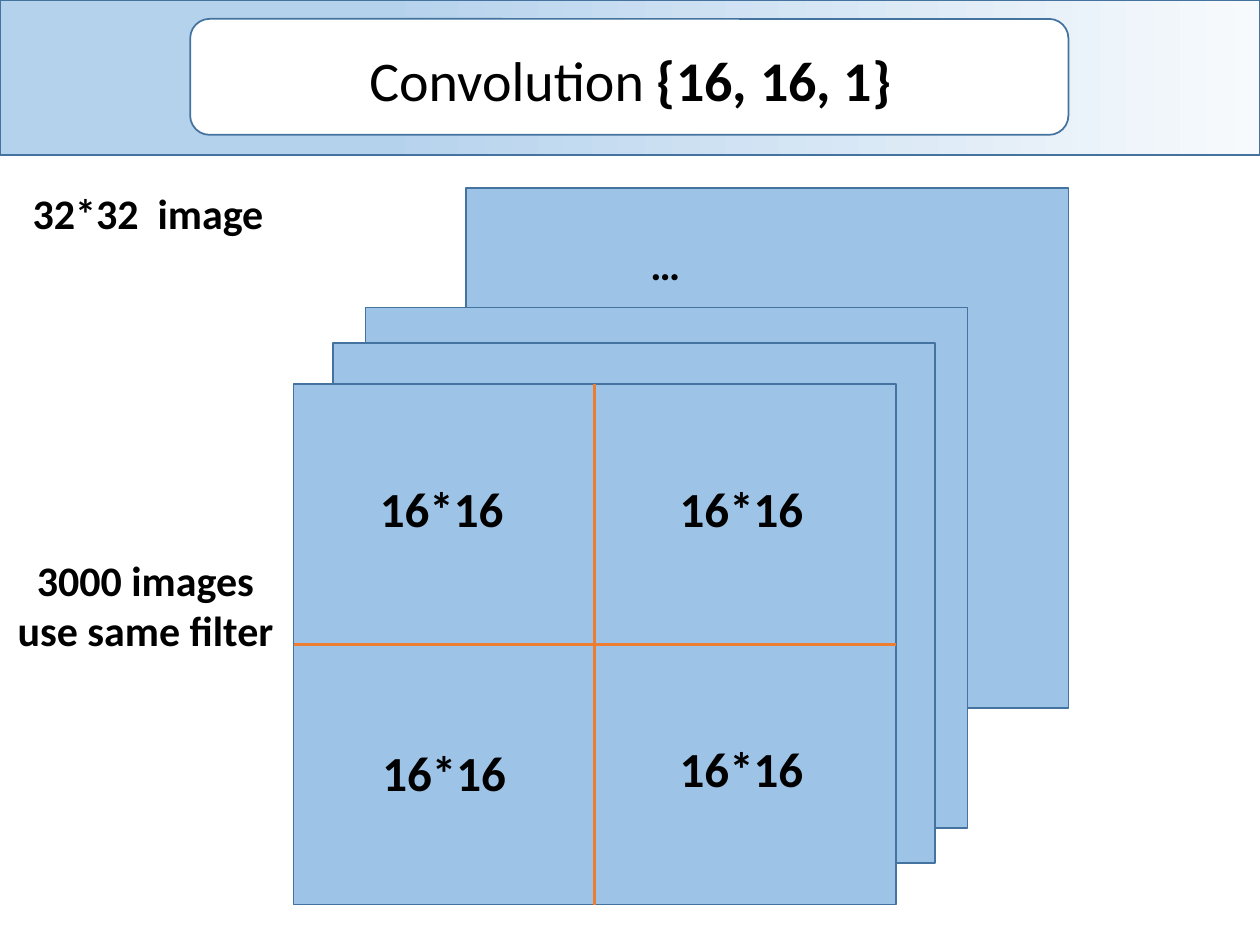
"""Build the slide on a 16 by 16 convolution over a stack of images."""
from copy import deepcopy
from dataclasses import dataclass

from lxml import etree
from pptx import Presentation
from pptx.dml.color import RGBColor
from pptx.enum import shapes, text
from pptx.oxml.ns import qn
from pptx.util import Inches, Pt


@dataclass(frozen=True)
class Theme:
    font: str = "Calibri"
    ink: str = "000000"
    panel: str = "FFFFFF"
    sheet: str = "9DC3E6"
    outline: str = "43739E"
    divider: str = "ED7D31"
    banner: tuple = ((0, "F7FAFD"), (0.7, "B5D2EC"), (1, "B5D2EC"))
    title_size: int = 32
    caption_size: int = 24
    cell_size: int = 28


@dataclass(frozen=True)
class Box:
    left: float
    top: float
    width: float
    height: float

    def inches(self) -> tuple:
        return tuple(Inches(v) for v in (self.left, self.top, self.width, self.height))


@dataclass(frozen=True)
class Label:
    box: Box
    lines: tuple
    size: int


THEME = Theme()
SHEET_W, SHEET_H = 4.78, 4.13
SHEETS = [Box(x, y, SHEET_W, SHEET_H)
          for x, y in ((3.7, 1.49), (2.9, 2.44), (2.64, 2.72), (2.33, 3.05))]
FRONT = SHEETS[-1]
MID_X = FRONT.left + SHEET_W / 2
MID_Y = FRONT.top + SHEET_H / 2
DIVIDERS = ((FRONT.left, MID_Y, FRONT.left + SHEET_W, MID_Y),
            (MID_X, FRONT.top, MID_X, FRONT.top + SHEET_H))
CELLS = ((2.9, 3.75), (5.28, 3.75), (2.92, 5.84), (5.28, 5.81))
LABELS = [
    Label(Box(0, 1.44, 2.35, 0.5), ("32*32  image",), THEME.caption_size),
    Label(Box(0, 4.35, 2.31, 0.91), ("3000 images", "use same filter"), THEME.caption_size),
    Label(Box(4.78, 1.84, 1, 0.5), ("…",), THEME.caption_size),
    *(Label(Box(x, y, 1.21, 0.49), ("16*16",), THEME.cell_size) for x, y in CELLS),
]


def add_run(p, words: str, size: int, bold: bool) -> None:
    """Add one formatted run to a paragraph."""
    r = p.add_run()
    r.text = words
    r.font.name = THEME.font
    r.font.size = Pt(size)
    r.font.bold = bold
    r.font.color.rgb = RGBColor.from_string(THEME.ink)


def add_panel(s, kind, box: Box, color: str):
    """Draw a filled shape with the common outline."""
    sp = s.shapes.add_shape(kind, *box.inches())
    sp.shadow.inherit = False
    sp.fill.solid()
    sp.fill.fore_color.rgb = RGBColor.from_string(color)
    sp.line.color.rgb = RGBColor.from_string(THEME.outline)
    sp.line.width = Pt(1)
    return sp


def fill_gradient(sp, stops: tuple) -> None:
    """Fill a shape with a gradient running right to left."""
    sp.fill.gradient()
    sp.fill.gradient_angle = 180
    gs_list = next(sp.element.iter(qn("a:gsLst")))
    for _ in stops[2:]:
        gs_list.append(deepcopy(gs_list[-1]))
    for stop, (position, color) in zip(sp.fill.gradient_stops, stops):
        stop.position = position
        stop.color.rgb = RGBColor.from_string(color)


def add_label(s, label: Label) -> None:
    """Add centred bold text, one paragraph for each line."""
    tf = s.shapes.add_textbox(*label.box.inches()).text_frame
    tf.word_wrap = True
    tf.margin_left = tf.margin_right = 0
    for i, words in enumerate(label.lines):
        p = tf.add_paragraph() if i else tf.paragraphs[0]
        p.alignment = text.PP_ALIGN.CENTER
        add_run(p, words, label.size, True)


def add_divider(s, ends: tuple) -> None:
    """Draw a line dividing the front sheet."""
    line = s.shapes.add_connector(shapes.MSO_CONNECTOR.STRAIGHT, *(Inches(v) for v in ends))
    line.line.color.rgb = RGBColor.from_string(THEME.divider)
    line.line.width = Pt(1.5)
    etree.SubElement(line.element.spPr, qn("a:effectLst"))


def set_title(s, box: Box) -> None:
    """Place the title in front of its panel and write its text."""
    title = s.shapes.title
    title.element.getparent().append(title.element)
    title.left, title.top, title.width, title.height = box.inches()
    tf = title.text_frame
    tf.word_wrap = True
    tf.vertical_anchor = text.MSO_ANCHOR.TOP
    p = tf.paragraphs[0]
    p.alignment = text.PP_ALIGN.CENTER
    add_run(p, "Convolution ", THEME.title_size, False)
    add_run(p, "{16, 16, 1}", THEME.title_size, True)


def main() -> None:
    """Build and save the presentation."""
    prs = Presentation()
    prs.slide_width, prs.slide_height = Inches(10), Inches(7.5)
    s = prs.slides.add_slide(prs.slide_layouts[5])
    kinds = shapes.MSO_SHAPE
    banner = add_panel(s, kinds.RECTANGLE, Box(0, 0, 10, 1.23), THEME.panel)
    fill_gradient(banner, THEME.banner)
    add_panel(s, kinds.ROUNDED_RECTANGLE, Box(1.51, 0.15, 6.97, 0.92), THEME.panel)
    set_title(s, Box(1.54, 0.31, 6.93, 0.64))
    for sheet in SHEETS:
        add_panel(s, kinds.RECTANGLE, sheet, THEME.sheet)
    for ends in DIVIDERS:
        add_divider(s, ends)
    for label in LABELS:
        add_label(s, label)
    prs.save("out.pptx")


main()
